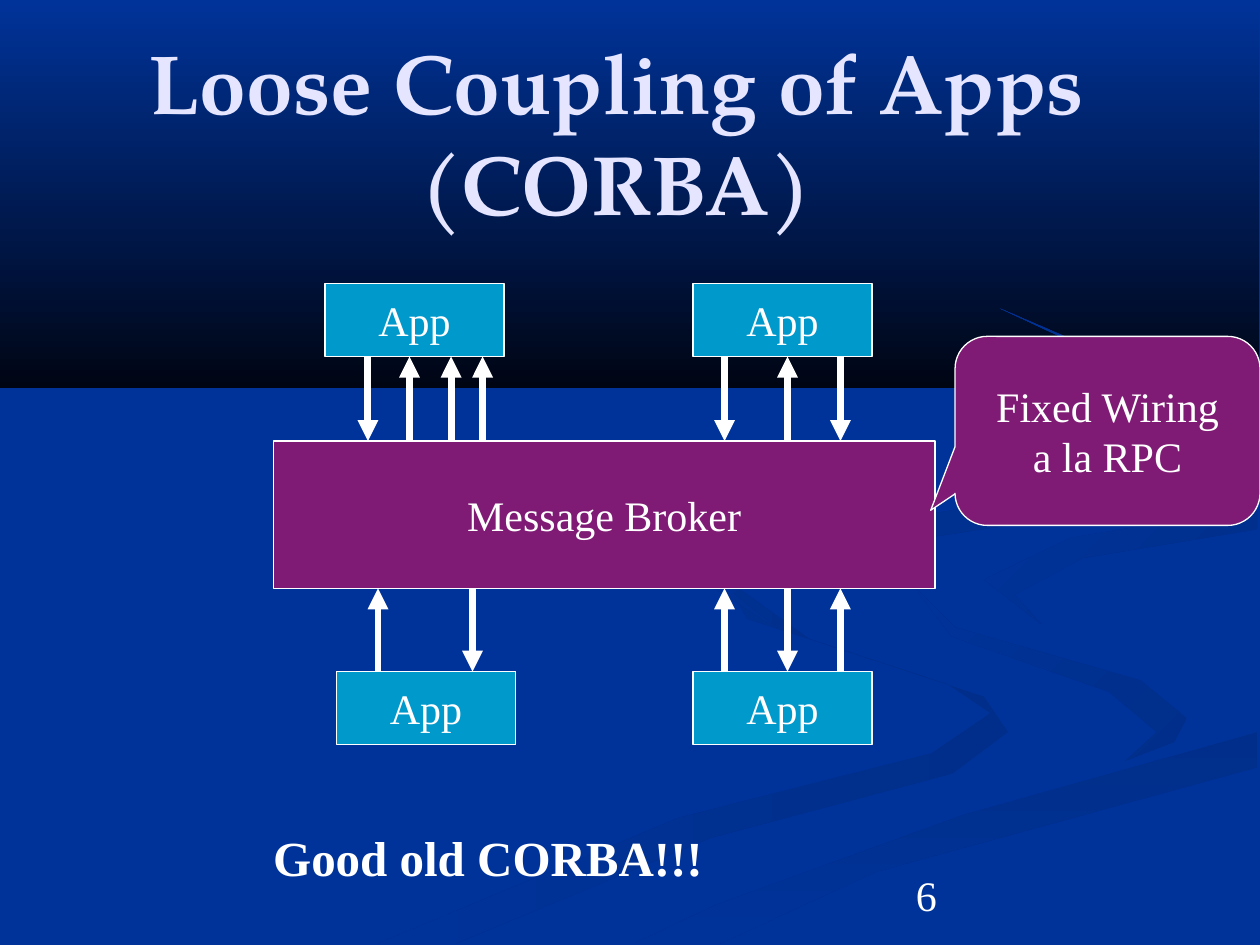
from lxml.etree import SubElement
from pptx import Presentation
from pptx.dml.color import RGBColor
from pptx.enum.shapes import MSO_CONNECTOR, MSO_SHAPE
from pptx.enum.text import MSO_ANCHOR, PP_ALIGN
from pptx.oxml.ns import qn
from pptx.util import Inches, Pt

COLORS = {
    "blue": "003399", "night": "000514", "ribbon": "002E8A", "title": "E5E5FF",
    "app": "0099CC", "broker": "7F1B74", "white": "FFFFFF",
}
RGB = {name: RGBColor.from_string(value) for name, value in COLORS.items()}
SERIF = "Times New Roman"


def write(sp, text, size=24, color="white", font=SERIF, bold=False,
          align=PP_ALIGN.CENTER, anchor=MSO_ANCHOR.MIDDLE, wrap=False):
    tf = sp.text_frame
    tf.text = text
    tf.word_wrap = wrap
    tf.vertical_anchor = anchor
    for p in tf.paragraphs:
        p.alignment = align
        for r in p.runs:
            r.font.name = font
            r.font.size = Pt(size)
            r.font.bold = bold
            r.font.color.rgb = RGB[color]


def add_box(kind, left, top, width, height, fill, text):
    sp = s.shapes.add_shape(kind, Inches(left), Inches(top), Inches(width), Inches(height))
    sp.shadow.inherit = False
    sp.fill.solid()
    sp.fill.fore_color.rgb = RGB[fill]
    sp.line.color.rgb = RGB["white"]
    sp.line.width = Pt(0.75)
    write(sp, text)
    return sp


prs = Presentation()
prs.slide_width, prs.slide_height = Inches(10), Inches(7.5)
s = prs.slides.add_slide(prs.slide_layouts[5])
s.background.fill.solid()
s.background.fill.fore_color.rgb = RGB["blue"]

# Backdrop: start colour, end colour, clockwise angle, outline in hundredths of an inch
backdrop = [
    ("blue", "night", 90, [(0, 0), (0, 308), (999, 308), (999, 0)]),
    ("ribbon", "blue", 180, [
        (781, 553), (642, 507), (575, 459), (593, 491), (752, 543), (786, 566),
        (739, 598), (539, 649), (300, 749), (361, 749), (564, 665), (756, 614), (800, 581)]),
    ("ribbon", "blue", 225, [
        (942, 570), (905, 540), (758, 498), (724, 464), (755, 505), (880, 549),
        (918, 581), (893, 604), (932, 589)]),
    ("ribbon", "blue", 90, [
        (503, 749), (571, 749), (695, 692), (998, 609), (998, 581), (764, 647), (569, 718)]),
    ("ribbon", "blue", 225, [
        (781, 460), (826, 495), (805, 472), (859, 443), (998, 420), (998, 402), (850, 427)]),
    ("ribbon", "blue", 225, [
        (695, 433), (872, 406), (959, 351), (922, 300), (794, 245), (929, 308),
        (953, 348), (907, 379), (651, 423), (561, 463), (617, 499), (582, 471), (620, 446)]),
]
for start, end, angle, points in backdrop:
    builder = s.shapes.build_freeform(*points[0], scale=Inches(0.01))
    builder.add_line_segments(points[1:], close=True)
    sp = builder.convert_to_shape()
    sp.shadow.inherit = False
    sp.line.fill.background()
    sp.fill.gradient()
    sp.fill.gradient_angle = 360 - angle
    for stop, color in zip(sp.fill.gradient_stops, (start, end)):
        stop.color.rgb = RGB[color]

# The title stands in front of the backdrop
title = s.shapes.title
s.shapes[len(backdrop)]._element.addnext(title._element)
title.left, title.top, title.width, title.height = Inches(0.39), Inches(0.19), Inches(9), Inches(1.7)
write(title, "Loose Coupling of Apps (CORBA)", 48, "title", "TeX Gyre Pagella", bold=True, wrap=True)

for left, top in [(2.58, 2.25), (5.5, 2.25), (2.67, 5.33), (5.5, 5.33)]:
    add_box(MSO_SHAPE.RECTANGLE, left, top, 1.42, 0.58, "app", "App")
add_box(MSO_SHAPE.RECTANGLE, 2.17, 3.5, 5.25, 1.17, "broker", "Message Broker")

# Calls between the apps and the broker: top, bottom, (x, direction)
calls = [
    (2.83, 3.5, [(2.92, "down"), (3.25, "up"), (3.58, "up"), (3.83, "up"),
                 (5.75, "down"), (6.25, "up"), (6.67, "down")]),
    (4.67, 5.33, [(3, "up"), (3.75, "down"), (5.75, "up"), (6.25, "down"), (6.67, "up")]),
]
for top, bottom, arrows in calls:
    for x, direction in arrows:
        line = s.shapes.add_connector(MSO_CONNECTOR.STRAIGHT, Inches(x), Inches(top),
                                      Inches(x), Inches(bottom))
        line.line.color.rgb = RGB["white"]
        line.line.width = Pt(4)
        tip = "a:tailEnd" if direction == "down" else "a:headEnd"
        SubElement(line._element.spPr.find(qn("a:ln")), qn(tip), type="triangle")
        SubElement(line._element.spPr, qn("a:effectLst"))

note = s.shapes.add_textbox(Inches(2.07), Inches(6.52), Inches(3.61), Inches(0.57))
write(note, "Good old CORBA!!!", 28, bold=True, align=PP_ALIGN.LEFT, anchor=MSO_ANCHOR.TOP)

callout = add_box(MSO_SHAPE.ROUNDED_RECTANGULAR_CALLOUT, 7.58, 2.67, 2.42, 1.5,
                  "broker", "Fixed Wiring\na la RPC")
for i, value in enumerate((-0.58, 0.42, 0.17)):
    callout.adjustments[i] = value

number = s.shapes.add_textbox(Inches(7.17), Inches(6.83), Inches(2.33), Inches(0.52))
write(number, "6", align=PP_ALIGN.LEFT, anchor=MSO_ANCHOR.BOTTOM, wrap=True)

prs.save("out.pptx")
